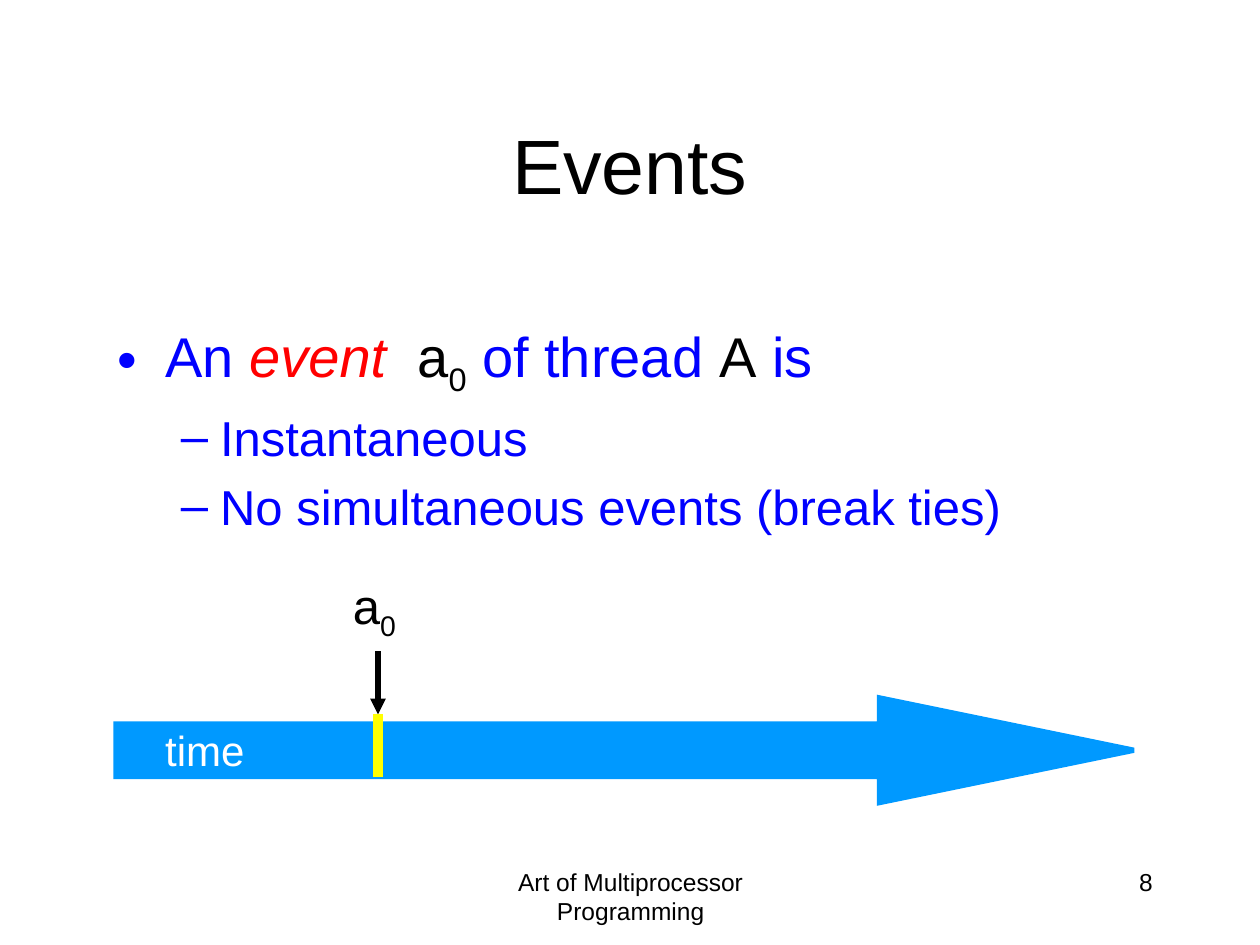
"""Build the "Events" slide: bullet list above a time arrow with one marked event."""
from lxml import etree
from pptx import Presentation
from pptx.dml.color import RGBColor
from pptx.enum.shapes import MSO_CONNECTOR, MSO_SHAPE
from pptx.enum.text import MSO_ANCHOR, MSO_AUTO_SIZE, PP_ALIGN
from pptx.oxml.ns import qn
from pptx.util import Cm, Pt

LEFT, CENTER, RIGHT = PP_ALIGN.LEFT, PP_ALIGN.CENTER, PP_ALIGN.RIGHT
TOP, MIDDLE = MSO_ANCHOR.TOP, MSO_ANCHOR.MIDDLE
BLACK, BLUE, RED, SKY, YELLOW, WHITE = "000000", "0000FF", "FF0000", "0099FF", "FFFF00", "FFFFFF"

TITLE = [(0, 44, [("Events", BLACK, "")])]
BODY = [
    (0, 32, [("An ", BLUE, ""), ("event  ", RED, "italic"), ("a", BLACK, ""), ("0", BLACK, "sub"),
             (" of thread ", BLUE, ""), ("A", BLACK, ""), (" is", BLUE, "")]),
    (1, 28, [("Instantaneous", BLUE, "")]),
    (1, 28, [("No simultaneous events (break ties)", BLUE, "")]),
]
LABELS = [
    ((8.69, 17.35, 8.05, 1.27), CENTER, True,
     [(0, 14, [("Art of Multiprocessor Programming", BLACK, "")])]),
    ((18.21, 17.35, 5.28, 1.27), RIGHT, True, [(0, 14, [("8", BLACK, "")])]),
    ((3.05, 14.48, 2.13, 1.3), RIGHT, False, [(0, 24, [("time", WHITE, "")])]),
    ((6.76, 11.48, 1.47, 1.45), RIGHT, False,
     [(0, 28, [("a", BLACK, ""), ("0", BLACK, "sub")])]),
]
ARROW = (2.34, 14.07, 20.52, 2.11)
EVENT_X, EVENT_TOP, EVENT_STEP = 7.62, 13.13, 1.27
MARKS = [(BLACK, 3, True), (YELLOW, 6, False)]


def rgb(value):
    return RGBColor.from_string(value)


def place(shape, box):
    for name, value in zip(("left", "top", "width", "height"), box):
        setattr(shape, name, Cm(value))


def write(tf, paragraphs, align, anchor=TOP, wrap=True):
    frame = {"word_wrap": wrap, "auto_size": MSO_AUTO_SIZE.NONE, "vertical_anchor": anchor}
    for name, value in frame.items():
        setattr(tf, name, value)
    for i, (level, size, runs) in enumerate(paragraphs):
        p = tf.add_paragraph() if i else tf.paragraphs[0]
        p.level, p.alignment = level, align
        for text, color, style in runs:
            r = p.add_run()
            r.text = text
            font = {"name": "Arial", "size": Pt(size), "italic": style == "italic"}
            for name, value in font.items():
                setattr(r.font, name, value)
            r.font.color.rgb = rgb(color)
            if style == "sub":
                r.font._element.set("baseline", "-25000")


def add_time_arrow(s):
    sp = s.shapes.add_shape(MSO_SHAPE.RIGHT_ARROW, *map(Cm, ARROW))
    sp.adjustments[0], sp.adjustments[1] = 0.5, 2.43
    sp.shadow.inherit = False
    sp.fill.solid()
    sp.fill.fore_color.rgb = sp.line.color.rgb = rgb(SKY)
    sp.line.width = Pt(3)
    etree.SubElement(sp.line._get_or_add_ln(), qn("a:miter"), lim="800000")


def add_mark(s, top, color, width, arrowhead):
    line = s.shapes.add_connector(
        MSO_CONNECTOR.STRAIGHT, Cm(EVENT_X), Cm(top), Cm(EVENT_X), Cm(top + EVENT_STEP))
    line.line.color.rgb, line.line.width = rgb(color), Pt(width)
    if arrowhead:
        etree.SubElement(line.line._get_or_add_ln(), qn("a:tailEnd"), type="triangle")
    etree.SubElement(line._element.spPr, qn("a:effectLst"))


def main():
    prs = Presentation()
    prs.slide_width, prs.slide_height = Cm(25.4), Cm(19.05)
    s = prs.slides.add_slide(prs.slide_layouts[1])
    title, body = s.placeholders
    place(title, (1.9, 1.7, 21.6, 3.18))
    write(title.text_frame, TITLE, CENTER, MIDDLE)
    place(body, (2.12, 6.35, 21.59, 9.1))
    write(body.text_frame, BODY, LEFT)
    add_time_arrow(s)
    for i, mark in enumerate(MARKS):
        add_mark(s, EVENT_TOP + i * EVENT_STEP, *mark)
    for box, align, wrap, paragraphs in LABELS:
        label = s.shapes.add_textbox(*map(Cm, box))
        write(label.text_frame, paragraphs, align, wrap=wrap)
    prs.save("out.pptx")


if __name__ == "__main__":
    main()
